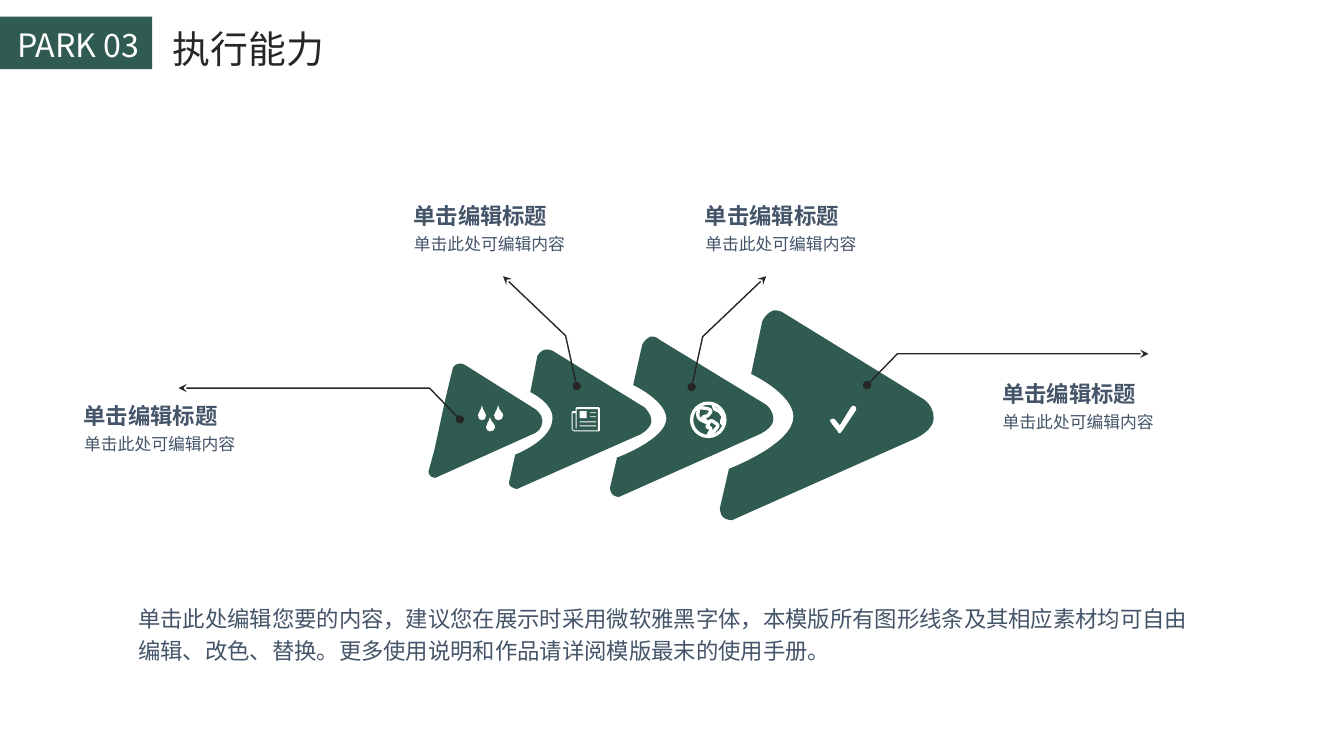
from dataclasses import dataclass
from lxml.etree import SubElement
from pptx import Presentation
from pptx.dml.color import RGBColor
from pptx.enum.shapes import MSO_SHAPE
from pptx.enum.text import MSO_ANCHOR, MSO_AUTO_SIZE, PP_ALIGN
from pptx.oxml.ns import qn
from pptx.util import Inches, Pt


@dataclass(frozen=True)
class Theme:
    green: str = "2F5B50"
    white: str = "FFFFFF"
    dark: str = "262626"
    slate: str = "445469"
    han: str = "Noto Sans CJK SC"
    latin: str = "Arial"
    tag: int = 23
    title: int = 27
    head: int = 16
    note: int = 12
    thin: float = 1
    thick: float = 2.38


theme = Theme()
cell = Inches(0.01)  # the slide is a grid of 1333 columns and 750 rows
deck = Presentation()
deck.slide_width, deck.slide_height = 1333 * cell, 750 * cell
slide = deck.slides.add_slide(deck.slide_layouts[5])
shapes = slide.shapes


def trace(outline, close=True):
    """Draw an outline: spaces part steps, colons join the three points of
    a Bézier curve, and bars part contours."""
    pen, sizes = None, []
    for contour in outline.split("|"):
        steps = [[tuple(int(n) * cell for n in knot.split(",")) for knot in step.split(":")]
                 for step in contour.split()]
        start = steps.pop(0)[0]
        if pen is None:
            pen = shapes.build_freeform(*start, scale=1.0)
        else:
            pen.move_to(*start)
        pen.add_line_segments([knot for step in steps for knot in step], close=close)
        sizes += [len(step) for step in steps]
    shape = pen.convert_to_shape()
    lines = iter(list(shape._element.iter(qn("a:lnTo"))))
    for size in sizes:
        first, *rest = [next(lines) for _ in range(size)]
        if rest:
            first.tag = qn("a:cubicBezTo")
        for line in rest:
            first.append(line[0])
            line.getparent().remove(line)
    return shape


def paint(shape, fill=None, line=None, width=theme.thin):
    shape.shadow.inherit = False
    if fill:
        shape.fill.solid()
        shape.fill.fore_color.rgb = RGBColor.from_string(fill)
    else:
        shape.fill.background()
    if line:
        shape.line.color.rgb = RGBColor.from_string(line)
        shape.line.width = Pt(width)
    else:
        shape.line.fill.background()


# Title bar
bar = shapes.add_shape(MSO_SHAPE.RECTANGLE, 0, int(16.5 * cell), 151 * cell, 52 * cell)
paint(bar, theme.green)

# Growing arrows, from the largest to the smallest
arrows = (
    "926,415 926,427:908,435:908,435 726,516 726,516:720,516:717,513 "
    "714,510:714,504:714,504 723,465 723,465:787,441:787,413 786,390:745,371:745,371 "
    "756,319 756,319:759,311:767,308 773,307:778,311:778,311 916,396 916,396:926,402:926,415",
    "767,416 767,425:753,431:753,431 614,493 614,493:609,493:607,490 "
    "605,488:605,484:605,484 612,454 612,454:661,436:661,415 660,397:628,382:628,382 "
    "637,342 637,342:639,337:645,334 650,333:654,337:654,337 759,401 759,401:767,406:767,416",
    "646,418 646,425:635,431:635,431 513,485 513,485:509,485:507,483 "
    "504,481:505,478:505,478 511,451 511,451:548,437:548,415 549,400:526,389:526,389 "
    "533,353 533,353:536,348:540,347 544,346:548,348:548,348 639,404 639,404:646,410:646,418",
    "442,395 449,366 449,366:450,362:454,361 458,360:461,362:461,362 531,406 "
    "531,406:538,411:538,417 538,427:530,430:530,430 432,474 "
    "432,474:429,474:428,473 425,471:425,468:425,468 431,446",
)
for arrow in arrows:
    paint(trace(arrow), theme.green)

# Callout lines
for route in ("860,382 890,351 1139,351", "456,416 426,385 177,385",
              "686,384 697,334 760,274", "572,383 561,333 499,274"):
    lead = trace(route, close=False)
    paint(lead, line=theme.dark)
    stroke = lead._element.spPr.find(qn("a:ln"))
    for end, kind in (("a:headEnd", "oval"), ("a:tailEnd", "stealth")):
        SubElement(stroke, qn(end), type=kind)

# Solid icons: drops, tick, newspaper
icons = (
    "478,402 477,408:474,409:474,412 474,415:476,417:478,417 "
    "481,417:482,415:482,412 482,409:479,408:478,402|"
    "494,402 493,408:490,409:490,412 490,415:492,417:494,417 "
    "497,417:499,415:499,412 499,409:495,408:494,402|"
    "486,414 485,419:482,420:482,424 482,426:484,428:486,428 "
    "489,428:491,426:491,424 491,420:487,419:486,414",
    "833,430 832,430:831,429:831,428 824,419 823,418:823,416:824,416 "
    "826,415:827,415:828,416 833,422 844,404 845,402:847,402:848,403 "
    "849,404:850,405:849,407 835,428 835,429:834,429:833,430",
    "594,404 572,404 571,405 571,408 568,408 567,409 567,426 569,428 594,428 595,427 595,405|"
    "593,427 569,427 568,426 568,410 571,410 571,425 572,425 572,406 593,406",
)
for icon in icons:
    paint(trace(icon), theme.white)
for x, y, w, h in ((575, 408, 7, 7), (585, 409, 6, 1), (585, 413, 6, 1),
                   (575, 418, 16, 1), (575, 422, 16, 1)):
    block = shapes.add_shape(MSO_SHAPE.RECTANGLE, x * cell, y * cell, w * cell, h * cell)
    paint(block, theme.white)

# Globe
globe = shapes.add_shape(MSO_SHAPE.OVAL, 686 * cell, 400 * cell, 33 * cell, 33 * cell)
paint(globe, line=theme.white, width=theme.thick)
coasts = (
    ("692,410 692,412:692,415:696,417 700,419:701,419:701,419 702,419:700,419:701,418 "
     "701,417:700,417:700,417 699,417:699,416:699,416 699,415:698,417:697,415 "
     "697,414:698,413:699,413 702,414:702,412:704,410 708,407:702,405:699,405 "
     "695,404:691,405:692,406 693,408:693,409:692,410", True),
    ("702,422 702,424:700,422:702,424 704,426:705,422:705,426 704,431:701,431:704,430 "
     "707,429:706,430:708,428 710,426:711,424:712,423 713,421:711,421:710,420 "
     "708,419:706,416:704,418 703,420:702,422:702,422", True),
    ("707,400 707,401:708,404:709,406 711,407:715,408:715,410 716,412:718,413:717,415 "
     "716,416:715,419:716,420 718,422:718,420:718,420", False),
)
for coast, close in coasts:
    paint(trace(coast, close), line=theme.white, width=theme.thick)

# Text: box, words, size, colour, font, bold, line spacing, wrap, margins
texts = [
    ((8, 20.5, 146, 48), "PARK 03", theme.tag, theme.white, theme.han, False, 1, False, (9, 5)),
    ((158.5, 9.5, 178, 68), "执行能力", theme.title, theme.dark, theme.han, False, 1.2, False,
     (13, 7)),
    ((137, 595, 1042, 65),
     "单击此处编辑您要的内容，建议您在展示时采用微软雅黑字体，本模版所有图形线条及其相应素材均可自由"
     "编辑、改色、替换。更多使用说明和作品请详阅模版最末的使用手册。",
     theme.head, theme.slate, theme.latin, False, 1.2, True, (0, 0)),
]
for x, y in ((410, 200.5), (699, 200.5), (994, 377), (83, 399)):
    texts += [
        ((x, y, 161, 27), "单击编辑标题", theme.head, theme.slate, theme.latin, True, 1, True, (0, 0)),
        ((x + 0.5, y + 31, 171, 20), "单击此处可编辑内容", theme.note, theme.slate, theme.latin,
         False, 1, True, (0, 0)),
    ]
for area, words, size, hue, font, bold, gap, wrap, (side, edge) in texts:
    spot = [int(n * cell) for n in area]
    if size == theme.title:
        box = shapes.title
        box.left, box.top, box.width, box.height = spot
    else:
        box = shapes.add_textbox(*spot)
    frame = box.text_frame
    frame.text = words
    frame.word_wrap = wrap
    frame.auto_size = MSO_AUTO_SIZE.NONE
    frame.vertical_anchor = MSO_ANCHOR.MIDDLE if size == theme.title else MSO_ANCHOR.TOP
    frame.margin_left = frame.margin_right = side * cell
    frame.margin_top = frame.margin_bottom = edge * cell
    para = frame.paragraphs[0]
    para.alignment = PP_ALIGN.LEFT
    para.line_spacing = gap
    run = para.runs[0]
    run.font.size, run.font.bold, run.font.name = Pt(size), bold, font
    run.font.color.rgb = RGBColor.from_string(hue)
    SubElement(run._r.get_or_add_rPr(), qn("a:ea"), typeface=theme.han)

deck.save("out.pptx")
